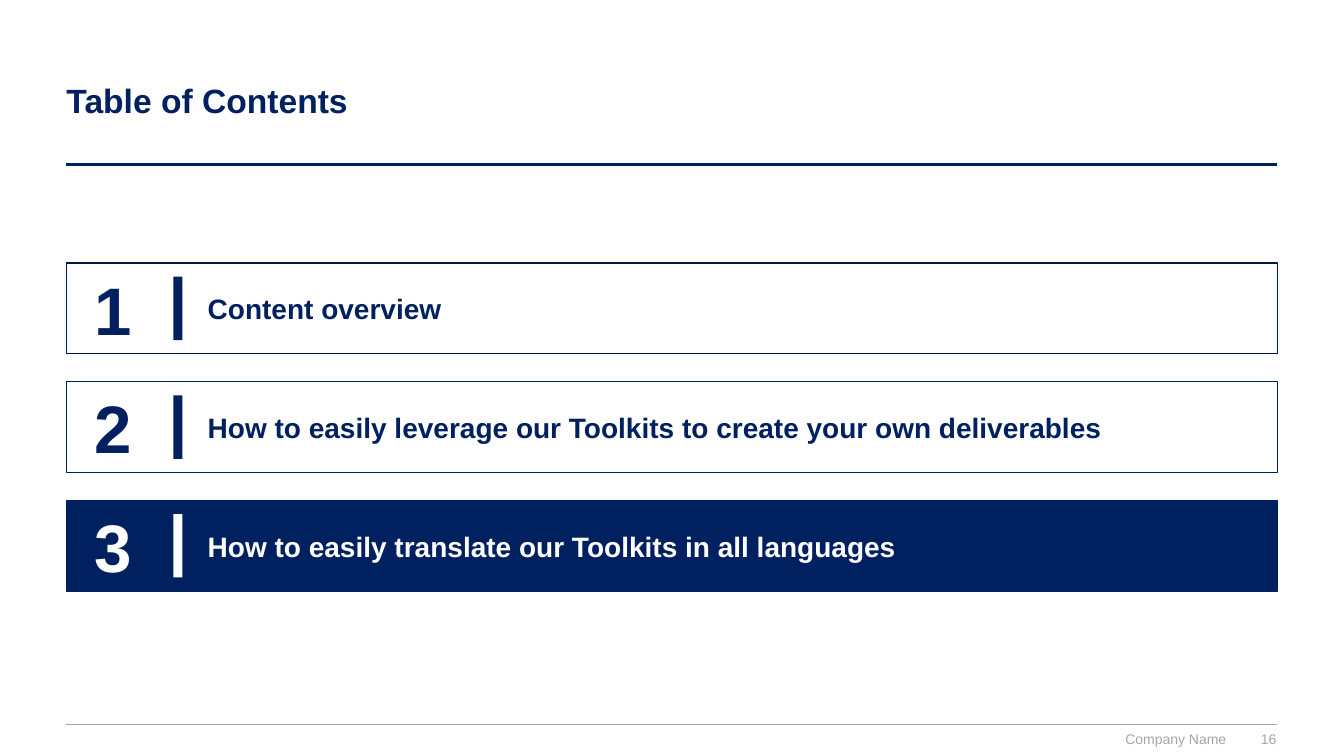
from dataclasses import dataclass

from lxml import etree
from pptx import Presentation
from pptx.dml.color import RGBColor
from pptx.enum.shapes import MSO_CONNECTOR, MSO_SHAPE
from pptx.enum.text import MSO_ANCHOR, PP_ALIGN
from pptx.oxml.ns import qn
from pptx.util import Inches, Pt

RECT = MSO_SHAPE.RECTANGLE
STRAIGHT = MSO_CONNECTOR.STRAIGHT
TOP, MIDDLE = MSO_ANCHOR.TOP, MSO_ANCHOR.MIDDLE
LEFT, CENTER, RIGHT = PP_ALIGN.LEFT, PP_ALIGN.CENTER, PP_ALIGN.RIGHT

COLORS = {"navy": "002060", "deep_navy": "001847", "grey": "A6A6A6", "white": "FFFFFF"}
FONT = "Arial"

# Lengths are percentages of the slide's width (x, w) and height (y, h).
MARGIN, CONTENT_W = 4.95, 90.1
ROW_TOP, ROW_PITCH, ROW_H = 34.8, 15.7, 12
BAR_H, LABEL_H = 8.4, 4.53


@dataclass(frozen=True)
class Box:
    x: float
    y: float
    w: float
    h: float


@dataclass(frozen=True)
class Text:
    text: str
    box: Box
    size: int
    color: str
    bold: bool = False
    align: PP_ALIGN = LEFT
    anchor: MSO_ANCHOR = MIDDLE


@dataclass(frozen=True)
class Chapter:
    label: str
    label_w: float
    border: str = "navy"
    current: bool = False


@dataclass(frozen=True)
class Rule:
    y: float
    color: str
    weight: int


RULES = [Rule(21.73, "navy", 2), Rule(95.87, "grey", 1)]
TEXTS = [
    Text("Table of Contents", Box(MARGIN, 5.33, CONTENT_W, 15.73), 24, "navy", bold=True),
    Text("Company Name", Box(70.67, 96.67, 20.56, 2.27), 10, "grey", align=RIGHT, anchor=TOP),
    Text("16", Box(92.05, 96.4, 2.93, 2.8), 10, "grey", align=RIGHT),
]
CHAPTERS = [
    Chapter("Content overview", 67.97, border="deep_navy"),
    Chapter("How to easily leverage our Toolkits to create your own deliverables", 76.74),
    Chapter("How to easily translate our Toolkits in all languages", 67.97, current=True),
]

prs = Presentation()
prs.slide_width, prs.slide_height = Inches(13.33), Inches(7.5)
slide = prs.slides.add_slide(prs.slide_layouts[6])


def px(share: float) -> int:
    return round(prs.slide_width * share / 100)


def py(share: float) -> int:
    return round(prs.slide_height * share / 100)


def place(box: Box) -> tuple[int, int, int, int]:
    return px(box.x), py(box.y), px(box.w), py(box.h)


def rgb(name: str) -> RGBColor:
    return RGBColor.from_string(COLORS[name])


def add_rule(rule: Rule) -> None:
    y = py(rule.y)
    line = slide.shapes.add_connector(STRAIGHT, px(MARGIN), y, px(MARGIN + CONTENT_W), y)
    line.line.color.rgb = rgb(rule.color)
    line.line.width = Pt(rule.weight)
    etree.SubElement(line._element.spPr, qn("a:effectLst"))


def add_text(spec: Text) -> None:
    tf = slide.shapes.add_textbox(*place(spec.box)).text_frame
    frame = {"word_wrap": True, "vertical_anchor": spec.anchor, "margin_left": 0,
             "margin_top": 0, "margin_right": 0, "margin_bottom": 0}
    for name, value in frame.items():
        setattr(tf, name, value)
    p = tf.paragraphs[0]
    p.alignment = spec.align
    r = p.add_run()
    r.text = spec.text
    for name, value in {"name": FONT, "size": Pt(spec.size), "bold": spec.bold}.items():
        setattr(r.font, name, value)
    r.font.color.rgb = rgb(spec.color)


def add_rect(box: Box, fill: str | None = None, border: str | None = None) -> None:
    sp = slide.shapes.add_shape(RECT, *place(box))
    sp.shadow.inherit = False
    if fill:
        sp.fill.solid()
        sp.fill.fore_color.rgb = rgb(fill)
    else:
        sp.fill.background()
    if border:
        sp.line.color.rgb = rgb(border)
        sp.line.width = Pt(1)
    else:
        sp.line.fill.background()


def add_chapter(index: int, chapter: Chapter) -> None:
    """Draw one numbered row; the current chapter has inverted colours."""
    y = ROW_TOP + index * ROW_PITCH
    ink = "white" if chapter.current else "navy"
    label = Box(15.45, y + (ROW_H - LABEL_H) / 2, chapter.label_w, LABEL_H)
    add_rect(Box(MARGIN, y, CONTENT_W, ROW_H),
             fill="navy" if chapter.current else None, border=chapter.border)
    add_text(Text(str(index + 1), Box(5.55, y, 5.78, ROW_H), 48, ink, bold=True, align=CENTER))
    add_text(Text(chapter.label, label, 20, ink, bold=True))
    add_rect(Box(12.9, y + (ROW_H - BAR_H) / 2, 0.68, BAR_H), fill=ink)


def main() -> None:
    for rule in RULES:
        add_rule(rule)
    for text in TEXTS:
        add_text(text)
    for index, chapter in enumerate(CHAPTERS):
        add_chapter(index, chapter)
    prs.save("out.pptx")


if __name__ == "__main__":
    main()
